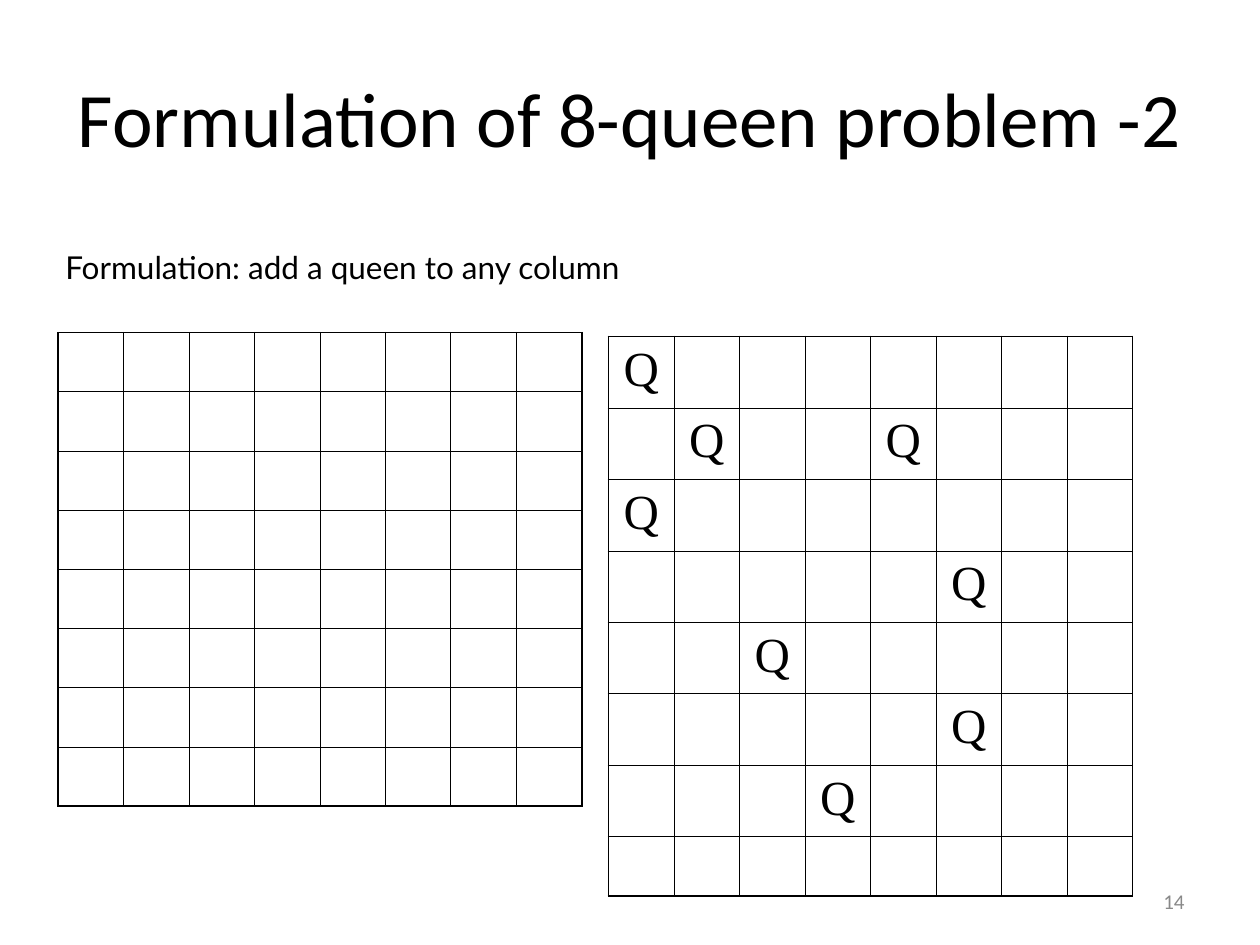
"""Build the slide on the second formulation of the 8-queen problem."""
from lxml import etree
from pptx import Presentation
from pptx import util as u
from pptx.dml import color
from pptx.enum import text
from pptx.oxml import ns

WIDTH, HEIGHT = u.Inches(10), u.Inches(7.5)
SIZE = 8
CELL_W, CELL_H = u.Inches(0.52), u.Inches(0.47)
THIN, THICK = u.Pt(0.45), u.Pt(1.08)
BLACK, GREY = "000000", "898989"
QUEENS = {(0, 0), (1, 1), (1, 4), (2, 0), (3, 5), (4, 2), (5, 5), (6, 3)}


def rgb(value):
    return color.RGBColor.from_string(value)


def box(x, y, w, h):
    return int(x * WIDTH), int(y * HEIGHT), int(w * WIDTH), int(h * HEIGHT)


def write(tf, words, size, font, align, ink=BLACK):
    tf.word_wrap = True
    p = tf.paragraphs[0]
    p.text = words
    p.alignment = align
    p.font.size = u.Pt(size)
    p.font.name = font
    p.font.color.rgb = rgb(ink)


def add_title(s, words, place):
    sp = s.shapes.title
    sp.left, sp.top, sp.width, sp.height = place
    sp.text_frame.vertical_anchor = text.MSO_ANCHOR.MIDDLE
    write(sp.text_frame, words, 44, "Calibri", text.PP_ALIGN.CENTER)


def add_label(s, words, place, size, font, align, anchor, ink=BLACK):
    tf = s.shapes.add_textbox(*place).text_frame
    tf.vertical_anchor = anchor
    write(tf, words, size, font, align, ink)


def set_border(cell, side, width):
    ln = etree.SubElement(cell._tc.get_or_add_tcPr(), ns.qn(f"a:ln{side}"), w=str(width))
    fill = etree.SubElement(ln, ns.qn("a:solidFill"))
    etree.SubElement(fill, ns.qn("a:srgbClr"), val=BLACK)


def add_board(s, left, top, queens=()):
    x, y, w, h = box(left, top, 0, 0)
    table = s.shapes.add_table(SIZE, SIZE, x, y, CELL_W * SIZE, CELL_H * SIZE).table
    table.first_row = table.horz_banding = False
    for line in table.columns:
        line.width = CELL_W
    for line in table.rows:
        line.height = CELL_H
    last = SIZE - 1
    for row in range(SIZE):
        for col in range(SIZE):
            cell = table.cell(row, col)
            edges = {"L": col == 0, "R": col == last, "T": row == 0, "B": row == last}
            for side, outer in edges.items():
                set_border(cell, side, THICK if outer else THIN)
            cell.fill.background()
            if (row, col) in queens:
                write(cell.text_frame, "Q", 28, "Times New Roman", text.PP_ALIGN.CENTER)


def main():
    prs = Presentation()
    prs.slide_width, prs.slide_height = WIDTH, HEIGHT
    s = prs.slides.add_slide(prs.slide_layouts[5])
    add_title(s, "Formulation of 8-queen problem -2", box(0.05, 0.04, 0.9, 1 / 6))
    add_label(s, "14", box(0.717, 0.927, 0.233, 0.053), 12, "Calibri",
              text.PP_ALIGN.RIGHT, text.MSO_ANCHOR.MIDDLE, GREY)
    add_board(s, 0.483, 0.356, QUEENS)
    add_board(s, 0.046, 0.352)
    add_label(s, "Formulation: add a queen to any column", box(0.042, 0.256, 0.858, 0.093),
              18, "Lato", text.PP_ALIGN.LEFT, text.MSO_ANCHOR.TOP)
    prs.save("out.pptx")


if __name__ == "__main__":
    main()
